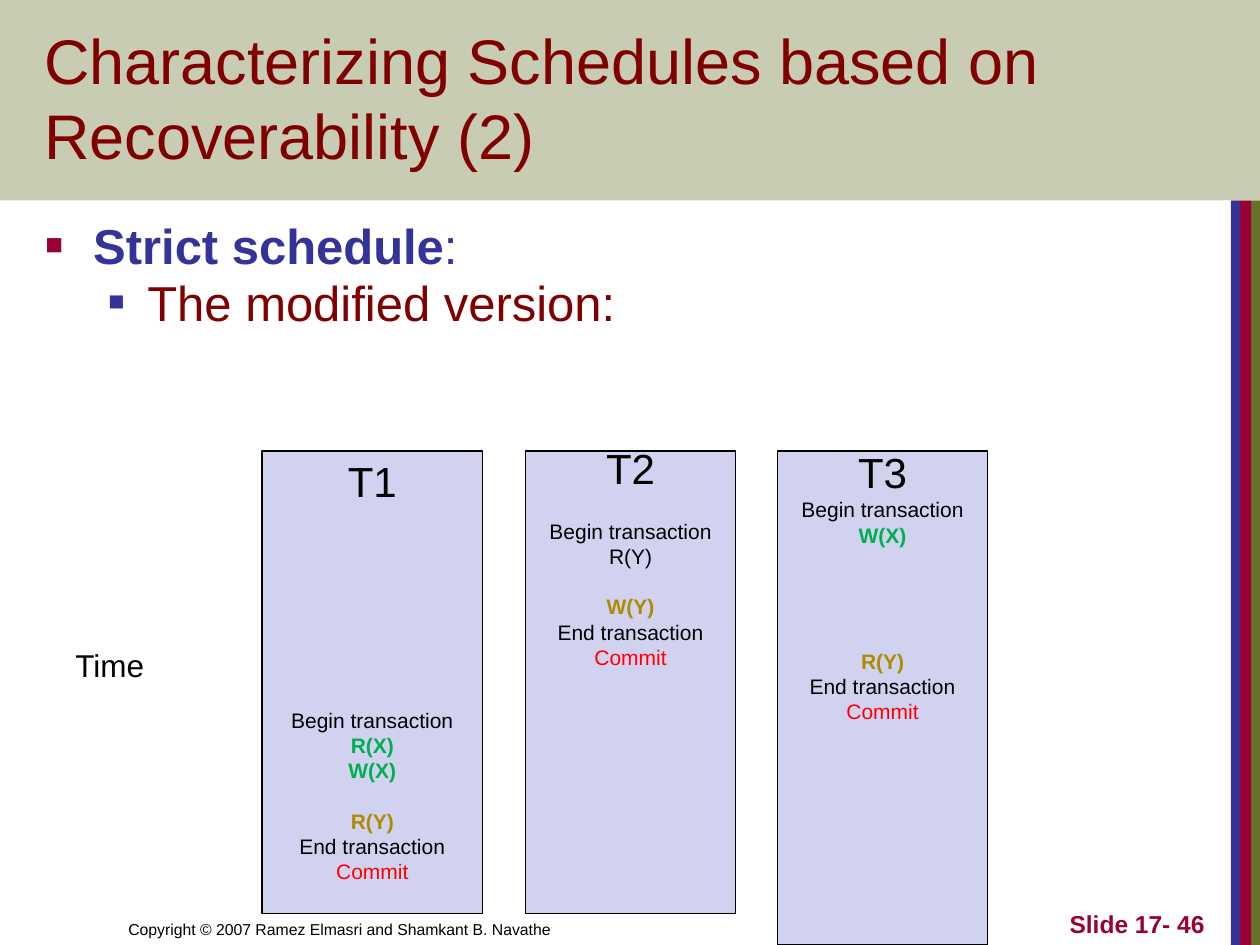
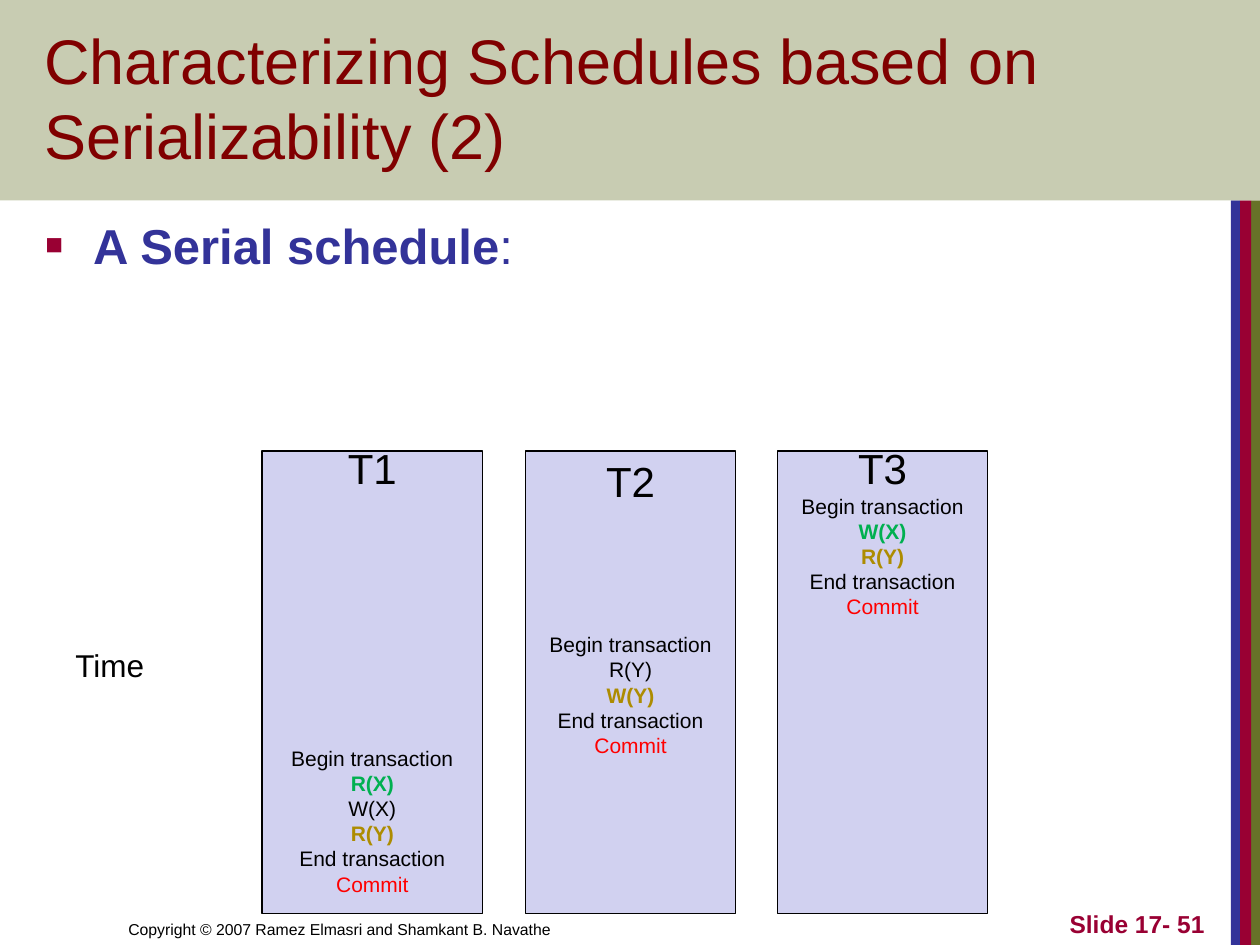
from lxml import etree
from pptx import Presentation
from pptx import util as u
from pptx.dml.color import RGBColor
from pptx.enum import shapes, text
from pptx.oxml.ns import qn

WIDTH, HEIGHT = 10, 7.5
FONT = "Arial"
BLACK, MAROON, NAVY, CRIMSON = "000000", "800000", "333399", "990033"
OLIVE, SAGE, LILAC = "677228", "C8CCB2", "D1D1F0"
GREEN, GOLD, RED = "00B050", "AD8C01", "FF0000"

BAND_HEIGHT = 1.59
STRIPES = [(9.77, 0.07, NAVY), (9.84, 0.09, CRIMSON), (9.93, 0.07, OLIVE)]
COLUMNS = [(2.08, 1.75), (4.17, 1.67), (6.17, 1.67)]
COLUMN_TOP = 3.58
HEAD_LINE, STEP_LINE = 24, 14.4  # points

# Bullet colour, bullet size in percent, left margin and hanging indent by level
BULLETS = [(CRIMSON, 60, 0.38, 0.38), (NAVY, 55, 0.81, 0.31)]

# Steps of a transaction: text, colour, bold
BEGIN = ("Begin transaction", BLACK, False)
END = ("End transaction", BLACK, False)
COMMIT = ("Commit", RED, False)
READ_X = ("R(X)", GREEN, True)
WRITE_X = ("W(X)", GREEN, True)
PLAIN_WRITE_X = ("W(X)", BLACK, False)
READ_Y = ("R(Y)", GOLD, True)
PLAIN_READ_Y = ("R(Y)", BLACK, False)
WRITE_Y = ("W(Y)", GOLD, True)


def color(value):
    return RGBColor.from_string(value)


def place(shape, left, top, width, height):
    shape.left, shape.top = u.Inches(left), u.Inches(top)
    shape.width, shape.height = u.Inches(width), u.Inches(height)


def style(span, size, tint, bold=False):
    span.font.name, span.font.size = FONT, u.Pt(size)
    span.font.color.rgb, span.font.bold = color(tint), bold


def add_rect(page, left, top, width, height, fill):
    rect = page.shapes.add_shape(shapes.MSO_SHAPE.RECTANGLE, *map(
        u.Inches, (left, top, width, height)))
    rect.shadow.inherit = False
    rect.fill.solid()
    rect.fill.fore_color.rgb = color(fill)
    rect.line.fill.background()
    return rect


def add_label(page, words, place_at, size, tint, bold=False,
              align=text.PP_ALIGN.LEFT, anchor=text.MSO_ANCHOR.BOTTOM, wrap=True):
    box = page.shapes.add_textbox(*map(u.Inches, place_at))
    frame = box.text_frame
    frame.text, frame.word_wrap, frame.vertical_anchor = words, wrap, anchor
    para = frame.paragraphs[0]
    para.alignment = align
    style(para.runs[0], size, tint, bold)


def add_bands(page):
    bands = [add_rect(page, 0, 0, WIDTH, BAND_HEIGHT, SAGE)]
    for left, width, fill in STRIPES:
        bands.append(add_rect(page, left, BAND_HEIGHT, width,
                              HEIGHT - BAND_HEIGHT, fill))
    # Bands lie behind the placeholders
    for band in bands:
        band.element.getparent().insert(2, band.element)


def add_footer(page, number):
    add_label(page, "Copyright © 2007 Ramez Elmasri and Shamkant B. Navathe",
              (0.92, 7, 4.92, 0.5), 9, BLACK)
    add_label(page, f"Slide 17- {number}", (7.58, 7, 2.08, 0.5), 14, CRIMSON,
              bold=True, align=text.PP_ALIGN.RIGHT)


def set_title(page, words):
    title = page.shapes.title
    place(title, 0.25, 0.33, 8.53, 1.09)
    frame = title.text_frame
    frame.text, frame.word_wrap = words, True
    frame.auto_size = text.MSO_AUTO_SIZE.NONE
    frame.vertical_anchor = text.MSO_ANCHOR.BOTTOM
    frame.paragraphs[0].alignment = text.PP_ALIGN.LEFT
    style(frame.paragraphs[0].runs[0], 36, MAROON)


def add_bullet(para, level):
    tint, percent, margin, hang = BULLETS[level]
    para.level = level
    props = para._p.get_or_add_pPr()
    props.set("marL", str(u.Inches(margin)))
    props.set("indent", str(-u.Inches(hang)))
    holder = etree.SubElement(props, qn("a:buClr"))
    etree.SubElement(holder, qn("a:srgbClr"), val=tint)
    etree.SubElement(props, qn("a:buSzPct"), val=str(percent * 1000))
    etree.SubElement(props, qn("a:buFont"), typeface=FONT)
    etree.SubElement(props, qn("a:buChar"), char="■")


def set_body(page, term, detail):
    body = page.placeholders[1]
    place(body, 0.26, 1.75, 9.07, 1.83)
    frame = body.text_frame
    frame.auto_size = text.MSO_AUTO_SIZE.NONE
    frame.vertical_anchor = text.MSO_ANCHOR.TOP
    frame.margin_right = 0
    lines = [[(term, NAVY, True), (":", NAVY, False)]]
    if detail:
        lines.append([(detail, MAROON, False)])
    for level, spans in enumerate(lines):
        para = frame.add_paragraph() if level else frame.paragraphs[0]
        add_bullet(para, level)
        para.line_spacing = 0.8
        para.space_before = u.Pt(5.6 if level else 0)
        for words, tint, bold in spans:
            span = para.add_run()
            span.text = words
            style(span, 28, tint, bold)


def add_transaction(page, column, steps, inset, height=3.67):
    """Draw one column; a number among the steps is that many idle rows."""
    left, width = COLUMNS[column]
    box = add_rect(page, left, COLUMN_TOP, width, height, LILAC)
    box.line.color.rgb, box.line.width = color(BLACK), u.Pt(0.75)
    frame = box.text_frame
    frame.word_wrap, frame.vertical_anchor = True, text.MSO_ANCHOR.TOP
    frame.margin_top, frame.margin_bottom = u.Inches(inset), 0

    def write(para, words, tint, bold, size, pitch, idle):
        para.text = words
        para.alignment = text.PP_ALIGN.CENTER
        para.line_spacing = u.Pt(pitch)
        para.space_before = u.Pt(idle * STEP_LINE)
        style(para.runs[0], size, tint, bold)

    write(frame.paragraphs[0], f"T{column + 1}", BLACK, False, 24, HEAD_LINE, 0)
    idle = 0
    for step in steps:
        if isinstance(step, int):
            idle = step
            continue
        write(frame.add_paragraph(), *step, 12, STEP_LINE, idle)
        idle = 0


def add_schedule(deck, number, title, term, detail, transactions):
    page = deck.slides.add_slide(deck.slide_layouts[1])
    add_bands(page)
    add_footer(page, number)
    set_title(page, title)
    set_body(page, term, detail)
    for column, transaction in enumerate(transactions):
        add_transaction(page, column, *transaction)
    add_label(page, "Time", (0.5, 5.08, 0.75, 0.4), 18, BLACK,
              anchor=text.MSO_ANCHOR.TOP, wrap=False)


def main():
    deck = Presentation()
    deck.slide_width, deck.slide_height = u.Inches(WIDTH), u.Inches(HEIGHT)

    # Strict schedule: steps interleave
    add_schedule(
        deck, 46, "Characterizing Schedules based on Recoverability (2)",
        "Strict schedule", "The modified version:",
        [([8, BEGIN, READ_X, WRITE_X, 1, READ_Y, END, COMMIT], 0.1),
         ([1, BEGIN, PLAIN_READ_Y, 1, WRITE_Y, END, COMMIT], 0),
         ([BEGIN, WRITE_X, 4, READ_Y, END, COMMIT], 0.03, 3.92)])

    # Serial schedule: T3, then T2, then T1
    add_schedule(
        deck, 51, "Characterizing Schedules based on Serializability (2)",
        "A Serial schedule", None,
        [([10, BEGIN, READ_X, PLAIN_WRITE_X, READ_Y, END, COMMIT], 0),
         ([5, BEGIN, PLAIN_READ_Y, WRITE_Y, END, COMMIT], 0.1),
         ([BEGIN, WRITE_X, READ_Y, END, COMMIT], 0)])

    deck.save("out.pptx")


if __name__ == "__main__":
    main()
